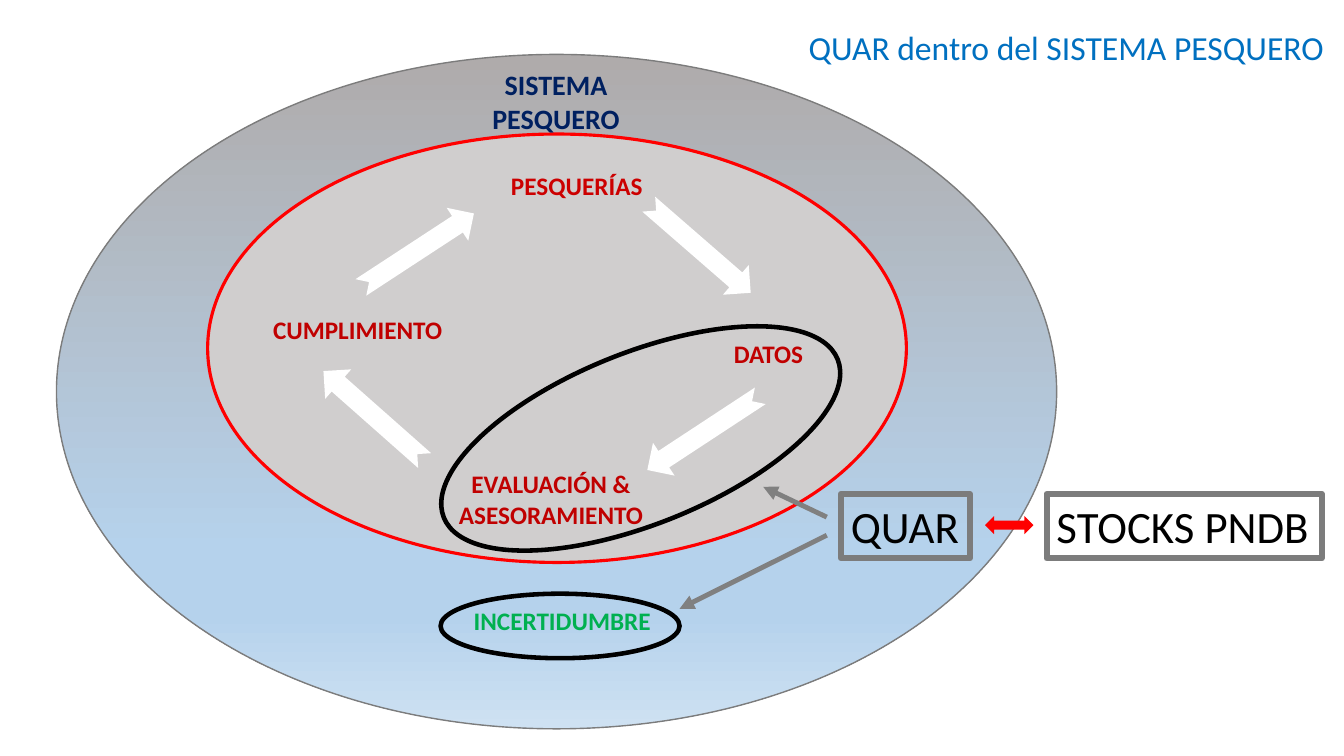
from copy import deepcopy

from lxml.etree import SubElement
from pptx import Presentation
from pptx.dml.color import RGBColor
from pptx.enum.shapes import MSO_CONNECTOR, MSO_SHAPE
from pptx.enum.text import MSO_ANCHOR, PP_ALIGN
from pptx.oxml.ns import qn
from pptx.util import Pt

PX = 9144  # 100 px to the inch
LEFT, CENTER = PP_ALIGN.LEFT, PP_ALIGN.CENTER


def add_figure(kind, place, fill=None, line=None, weight=1, rotation=0):
    figure = slide.shapes.add_shape(kind, *[value * PX for value in place])
    figure.shadow.inherit = False
    figure.rotation = rotation
    if fill:
        figure.fill.solid()
        figure.fill.fore_color.rgb = RGBColor.from_string(fill)
    else:
        figure.fill.background()
    if line:
        figure.line.color.rgb = RGBColor.from_string(line)
        figure.line.width = Pt(weight)
    else:
        figure.line.fill.background()
    return figure


def write(box, text, size, color, bold=False, align=LEFT, wrap=False):
    frame = box.text_frame
    frame.word_wrap = wrap
    frame.vertical_anchor = MSO_ANCHOR.TOP
    para = frame.paragraphs[0]
    para.alignment = align
    span = para.add_run()
    span.text = text
    span.font.name = "Calibri"
    span.font.size = Pt(size)
    span.font.bold = bold
    span.font.color.rgb = RGBColor.from_string(color)


deck = Presentation()
deck.slide_width, deck.slide_height = 1333 * PX, 750 * PX
slide = deck.slides.add_slide(deck.slide_layouts[5])

title = slide.shapes.title
title.left, title.top, title.width, title.height = [value * PX for value in (792, 22, 536, 50)]
write(title, "QUAR dentro del SISTEMA PESQUERO", 24, "0070C0")

# Fishing system: outer gradient ellipse and inner cycle
system = add_figure(MSO_SHAPE.OVAL, (56, 54, 992, 669), line="7C7C7C")
system.fill.gradient()
system.fill.gradient_angle = 270
stop_list = system._element.spPr.find(".//" + qn("a:gsLst"))
for _ in range(2):
    stop_list.append(deepcopy(stop_list[0]))
gradient = [(0, "AFABAB"), (0.74, "B5D2EC"), (0.83, "B5D2EC"), (1, "CEE1F2")]
for stop, (position, color) in zip(system.fill.gradient_stops, gradient):
    stop.position = position
    stop.color.rgb = RGBColor.from_string(color)
add_figure(MSO_SHAPE.OVAL, (206, 133, 693, 425), "D0CECE", "FF0000", 2.25)

labels = [
    ("SISTEMA PESQUERO", (445, 62, 213, 77), 20, "002060", CENTER),
    ("PESQUERÍAS", (497, 164, 213, 40), 18, "CC0000", LEFT),
    ("DATOS", (718, 331, 213, 40), 18, "C00000", LEFT),
    ("EVALUACIÓN & ASESORAMIENTO", (440, 460, 213, 71), 18, "C00000", CENTER),
    ("CUMPLIMIENTO", (261, 307, 213, 40), 18, "C00000", LEFT),
    ("INCERTIDUMBRE", (460, 596, 213, 40), 18, "00B050", LEFT),
]
for text, place, size, color, align in labels:
    box = slide.shapes.add_textbox(*[value * PX for value in place])
    write(box, text, size, color, bold=True, align=align, wrap=True)

for left, top, angle in [(627, 227, 41), (631, 410, 146.7), (304, 393, 221.5), (347, 229, 326.8)]:
    add_figure(MSO_SHAPE.NOTCHED_RIGHT_ARROW, (left, top, 134, 39), "FFFFFF", rotation=angle)

# Areas that QUAR covers
add_figure(MSO_SHAPE.OVAL, (425, 350, 421, 170), line="000000", weight=3.25, rotation=338.1)
add_figure(MSO_SHAPE.OVAL, (437, 589, 237, 64), line="000000", weight=3.25)

for text, left, width in [("QUAR", 834, 128), ("STOCKS PNDB", 1038, 273)]:
    box = add_figure(MSO_SHAPE.RECTANGLE, (left, 490, width, 64), line="7C7C7C", weight=4.25)
    write(box, text, 32, "000000")

for ends in [(820, 531, 674, 604), (820, 513, 757, 483)]:
    arrow = slide.shapes.add_connector(MSO_CONNECTOR.STRAIGHT, *[value * PX for value in ends])
    arrow.line.color.rgb = RGBColor.from_string("808080")
    arrow.line.width = Pt(3.5)
    properties = arrow._element.spPr
    SubElement(properties.find(qn("a:ln")), qn("a:tailEnd"), type="triangle")
    SubElement(properties, qn("a:effectLst"))

add_figure(MSO_SHAPE.LEFT_RIGHT_ARROW, (977, 512, 48, 18), "FF0000")

deck.save("out.pptx")
